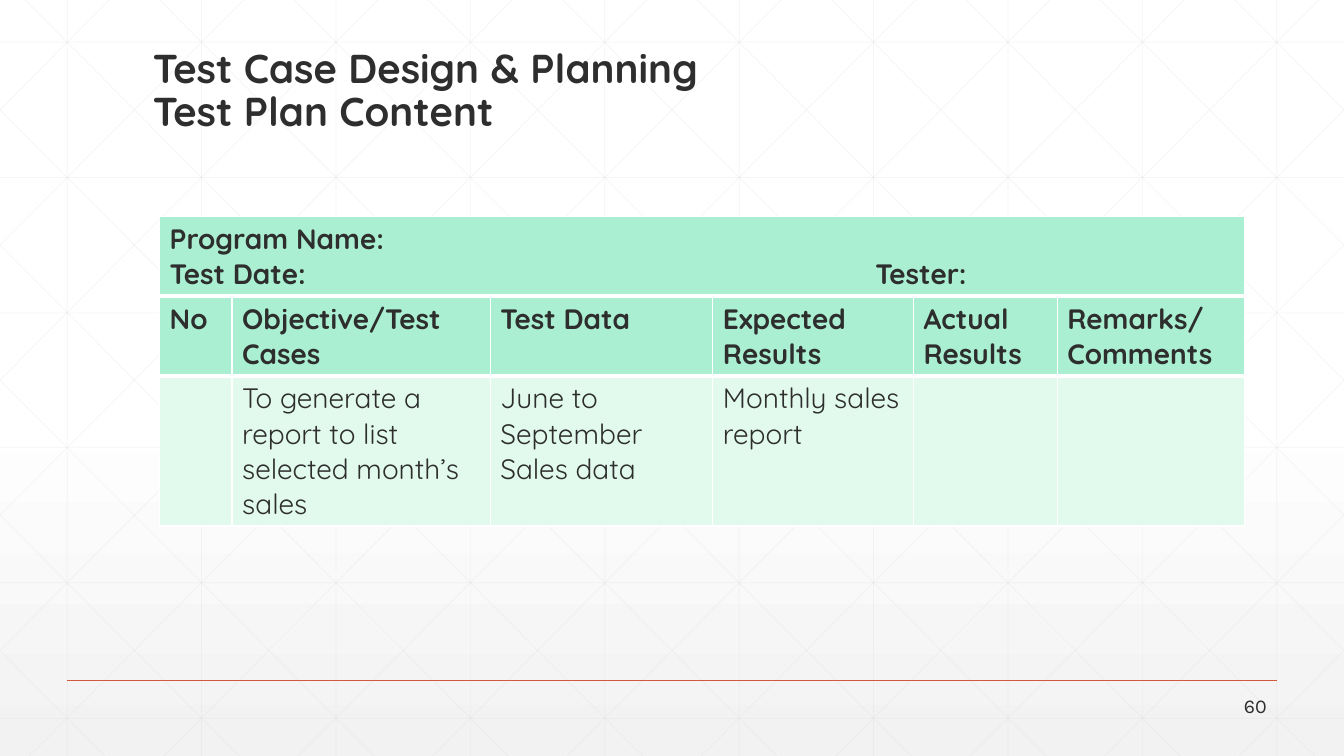
from dataclasses import dataclass

from lxml.etree import SubElement
from pptx import Presentation
from pptx.dml.color import RGBColor
from pptx.enum.shapes import MSO_CONNECTOR
from pptx.enum.text import MSO_ANCHOR, MSO_AUTO_SIZE, PP_ALIGN
from pptx.oxml.ns import qn
from pptx.util import Pt

PX = 9525
SLIDE_W, SLIDE_H = 1280, 720


@dataclass(frozen=True)
class Theme:
    ink: str = "2D2E2D"
    white: str = "FFFFFF"
    shade: str = "F2F2F2"
    grid: str = "D9D9D9"
    accent: str = "D15A3E"
    header: str = "AAEFD1"
    body: str = "E2F9EE"
    main_font: str = "Quicksand"
    number_font: str = "Karla"
    title_size: float = 28.8
    table_size: int = 20
    number_size: int = 14


THEME = Theme()
COLUMN_WIDTHS = [69, 246, 212, 191, 137, 178]
ROW_HEIGHTS = [76, 76, 143]
PLAN_ROWS = [
    ["Program Name:\nTest Date:\tTester:", "", "", "", "", ""],
    ["No", "Objective/Test Cases", "Test Data", "Expected Results",
     "Actual Results", "Remarks/ Comments"],
    ["", "To generate a report to list selected month’s sales",
     "June to September Sales data", "Monthly sales report", "", ""],
]


def px(*lengths):
    return [round(length * PX) for length in lengths]


def style(paragraph, size, bold=False, font=THEME.main_font):
    paragraph.font.name = font
    paragraph.font.size = Pt(size)
    paragraph.font.bold = bold
    paragraph.font.color.rgb = RGBColor.from_string(THEME.ink)


def paint_background(slide):
    fill = slide.background.fill
    fill.gradient()
    fill.gradient_angle = 270
    shades = [(0.53, THEME.white), (1, THEME.shade)]
    for stop, (position, color) in zip(fill.gradient_stops, shades):
        stop.position = position
        stop.color.rgb = RGBColor.from_string(color)


def add_line(shapes, ends, color, width, opacity=100):
    line = shapes.add_connector(MSO_CONNECTOR.STRAIGHT, *px(*ends))
    line.line.color.rgb = RGBColor.from_string(color)
    line.line.width = Pt(width)
    properties = line.element.spPr
    SubElement(properties, qn("a:effectLst"))
    if opacity < 100:
        paint = properties.find(".//" + qn("a:srgbClr"))
        SubElement(paint, qn("a:alpha")).set("val", str(opacity * 1000))


def add_grid(slide, width, height):
    """Square grid with both diagonals, clipped to the given size."""
    step, run = 128, 716
    slope = height / run
    lines = [(x, 0, x, height) for x in range(64, width, step)]
    lines += [(0, y, width, y) for y in (40 + round(k * 128.8) for k in range(6))]
    for start in range(24 - 5 * step, width, step):
        left, right = max(start, 0), min(start + run, width)
        top, bottom = (left - start) * slope, (right - start) * slope
        lines.append((left, top, right, bottom))
        lines.append((width - left, top, width - right, bottom))
    grid = slide.shapes.add_group_shape()
    for ends in lines:
        add_line(grid.shapes, ends, THEME.grid, 0.5, opacity=25)


def add_title(slide, box):
    title = slide.shapes.title
    title.element.getparent().append(title.element)  # bring in front of the grid
    title.left, title.top, title.width, title.height = px(*box)
    frame = title.text_frame
    frame.text = "Test Case Design & Planning\vTest Plan Content"
    frame.auto_size = MSO_AUTO_SIZE.NONE
    frame.vertical_anchor = MSO_ANCHOR.BOTTOM
    heading = frame.paragraphs[0]
    heading.alignment = PP_ALIGN.LEFT
    heading.line_spacing = 0.9
    style(heading, THEME.title_size, bold=True)


def add_footer(slide, box):
    """Accent rule along the top of the box, page number below it."""
    left, top, width, height = box
    add_line(slide.shapes, (left, top, left + width, top), THEME.accent, 1)
    number_w, number_h = 96, 23
    page = slide.shapes.add_textbox(
        *px(left + width - number_w, top + height - number_h, number_w, number_h))
    frame = page.text_frame
    frame.word_wrap = True
    frame.vertical_anchor = MSO_ANCHOR.MIDDLE
    frame.text = "60"
    frame.paragraphs[0].alignment = PP_ALIGN.RIGHT
    style(frame.paragraphs[0], THEME.number_size, font=THEME.number_font)


def set_borders(cell, top, bottom):
    properties = cell._tc.get_or_add_tcPr()
    borders = [("a:lnL", 1), ("a:lnR", 1), ("a:lnT", top), ("a:lnB", bottom)]
    for index, (tag, width) in enumerate(borders):
        border = SubElement(properties, qn(tag), w=str(Pt(width)))
        paint = SubElement(border, qn("a:solidFill"))
        SubElement(paint, qn("a:srgbClr"), val=THEME.white)
        properties.insert(index, border)


def add_tab_stop(paragraph, position):
    stops = SubElement(paragraph._p.get_or_add_pPr(), qn("a:tabLst"))
    SubElement(stops, qn("a:tab"), pos=str(position * PX), algn="l")


def add_test_plan(slide, left, top):
    plan = slide.shapes.add_table(
        len(ROW_HEIGHTS), len(COLUMN_WIDTHS),
        *px(left, top, sum(COLUMN_WIDTHS), sum(ROW_HEIGHTS))).table
    plan.first_row = plan.horz_banding = False
    for column, width in zip(plan.columns, px(*COLUMN_WIDTHS)):
        column.width = width
    for row, height in zip(plan.rows, px(*ROW_HEIGHTS)):
        row.height = height
    last = len(PLAN_ROWS) - 1
    for r, texts in enumerate(PLAN_ROWS):
        is_header = r < last
        for c, text in enumerate(texts):
            cell = plan.cell(r, c)
            cell.text = text
            cell.fill.solid()
            cell.fill.fore_color.rgb = RGBColor.from_string(
                THEME.header if is_header else THEME.body)
            set_borders(cell, top=3 if r else 1, bottom=3 if is_header else 1)
            for paragraph in cell.text_frame.paragraphs:
                if "\t" in paragraph.text:
                    add_tab_stop(paragraph, 672)
                style(paragraph, THEME.table_size, bold=is_header)
    plan.cell(0, 0).merge(plan.cell(0, len(COLUMN_WIDTHS) - 1))


def build_test_plan_slide(deck):
    slide = deck.slides.add_slide(deck.slide_layouts[5])
    paint_background(slide)
    add_grid(slide, SLIDE_W, SLIDE_H)
    add_title(slide, (136, 53, 1008, 81))
    add_footer(slide, (64, 648, 1152, 36))
    add_test_plan(slide, 152, 206)


def main():
    deck = Presentation()
    deck.slide_width, deck.slide_height = px(SLIDE_W, SLIDE_H)
    build_test_plan_slide(deck)
    deck.save("out.pptx")


if __name__ == "__main__":
    main()
